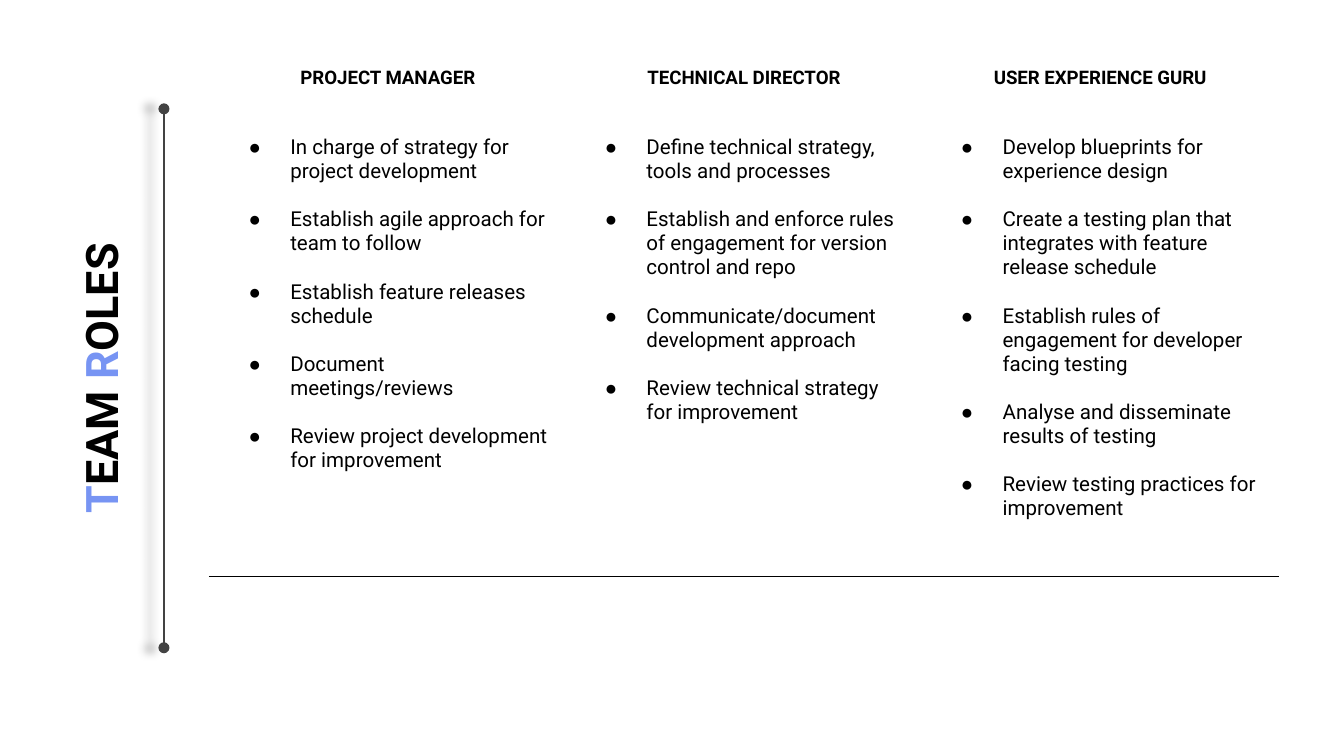
import lxml.etree
import pptx
import pptx.dml.color
import pptx.enum.shapes
import pptx.enum.text
import pptx.oxml.ns
import pptx.util

Inches = pptx.util.Inches
Pt = pptx.util.Pt
qn = pptx.oxml.ns.qn

# Content
ROLES = [
    ("PROJECT MANAGER", [
        "In charge of strategy for project development",
        "Establish agile approach for team to follow",
        "Establish feature releases schedule",
        "Document meetings/reviews",
        "Review project development for improvement",
    ]),
    ("TECHNICAL DIRECTOR", [
        "Define technical strategy, tools and processes",
        "Establish and enforce rules of engagement for version control and repo",
        "Communicate/document development approach",
        "Review technical strategy for improvement",
    ]),
    ("USER EXPERIENCE GURU", [
        "Develop blueprints for experience design",
        "Create a testing plan that integrates with feature release schedule",
        "Establish rules of engagement for developer facing testing",
        "Analyse and disseminate results of testing",
        "Review testing practices for improvement",
    ]),
]
TITLE = [("T", "accent"), ("EAM", "text"), (" R", "accent"), ("OLES", "text")]
COLORS = {"text": "000000", "accent": "7794F3", "rail": "434343"}
FONT = "Roboto"
COLUMN_WIDTHS = [0.44] + [2.65] * len(ROLES)
ROW_HEIGHTS = [0.51, 3.38, 0.5, 1.41]
MARGIN = Inches(0.1)
CENTER = pptx.enum.text.PP_ALIGN.CENTER


def rgb(name):
    return pptx.dml.color.RGBColor.from_string(COLORS[name])


def format_run(run, size, bold=False, color="text"):
    run.font.name = FONT
    run.font.size = Pt(size)
    run.font.bold = bold
    run.font.color.rgb = rgb(color)


def add_element(parent, tag, **attributes):
    element = lxml.etree.SubElement(parent, qn(tag))
    for name, value in attributes.items():
        element.set(name, str(value))
    return element


def set_margins(target):
    target.margin_left = target.margin_right = MARGIN
    target.margin_top = target.margin_bottom = MARGIN


def add_bullet(paragraph):
    properties = paragraph._p.get_or_add_pPr()
    properties.set("marL", str(Inches(0.5)))
    properties.set("indent", str(Inches(-0.31)))
    color = add_element(properties, "a:buClr")
    add_element(color, "a:srgbClr", val=COLORS["text"])
    add_element(properties, "a:buFont", typeface="Arial")
    add_element(properties, "a:buChar", char="●")


def add_border(cell, tag):
    properties = cell._tc.get_or_add_tcPr()
    border = add_element(properties, tag, w=Pt(0.75))
    fill = add_element(border, "a:solidFill")
    add_element(fill, "a:srgbClr", val=COLORS["text"])
    properties.insert(0, border)  # borders come before the cell fill


presentation = pptx.Presentation()
presentation.slide_width = Inches(10)
presentation.slide_height = Inches(10) * 9 // 16
slide = presentation.slides.add_slide(presentation.slide_layouts[5])

# Roles table
frame = slide.shapes.add_table(
    len(ROW_HEIGHTS), len(COLUMN_WIDTHS), Inches(1.12), Inches(0.4),
    Inches(sum(COLUMN_WIDTHS)), Inches(sum(ROW_HEIGHTS)))
table = frame.table
table.first_row = False
table.horz_banding = False
for column, width in zip(table.columns, COLUMN_WIDTHS):
    column.width = Inches(width)
for row, height in zip(table.rows, ROW_HEIGHTS):
    row.height = Inches(height)
for cell in table.iter_cells():
    cell.fill.background()
    set_margins(cell)
for row_index in (2, 3):
    table.cell(row_index, 1).merge(table.cell(row_index, len(ROLES)))

for column_index, (role, duties) in enumerate(ROLES, start=1):
    header = table.cell(0, column_index)
    header.text_frame.text = role
    header.text_frame.paragraphs[0].alignment = CENTER
    format_run(header.text_frame.paragraphs[0].runs[0], 10, bold=True)

    body = table.cell(1, column_index)
    body.text_frame.text = "\n".join(duties)
    for paragraph in body.text_frame.paragraphs:
        paragraph.space_after = Pt(13)
        add_bullet(paragraph)
        format_run(paragraph.runs[0], 11)
    add_border(body, "a:lnB")
    add_border(table.cell(2, column_index), "a:lnT")

# Vertical title
title = slide.shapes.title
title.left, title.top = Inches(-1.69), Inches(2.51)
title.width, title.height = Inches(4.88), Inches(0.61)
title.rotation = 270
title_frame = title.text_frame
title_frame.word_wrap = True
title_frame.auto_size = pptx.enum.text.MSO_AUTO_SIZE.NONE
title_frame.vertical_anchor = pptx.enum.text.MSO_ANCHOR.TOP
set_margins(title_frame)
title_paragraph = title_frame.paragraphs[0]
title_paragraph.alignment = CENTER
for text, color in TITLE:
    run = title_paragraph.add_run()
    run.text = text
    format_run(run, 24, bold=True, color=color)

# Rail with round ends and a soft shadow to its left
rail = slide.shapes.add_connector(
    pptx.enum.shapes.MSO_CONNECTOR.STRAIGHT,
    Inches(1.22), Inches(0.81), Inches(1.22), Inches(4.82))
rail.line.color.rgb = rgb("rail")
rail.line.width = Pt(1.5)
rail_line = rail.line._get_or_add_ln()
for end in ("a:headEnd", "a:tailEnd"):
    add_element(rail_line, end, type="oval", w="med", len="med")
effects = add_element(rail._element.spPr, "a:effectLst")
shadow = add_element(effects, "a:outerShdw", blurRad=Pt(4.5), dist=Pt(7.5),
                     dir=180 * 60000, algn="bl", rotWithShape=0)
shadow_color = add_element(shadow, "a:srgbClr", val=COLORS["text"])
add_element(shadow_color, "a:alpha", val=23000)

presentation.save("out.pptx")
